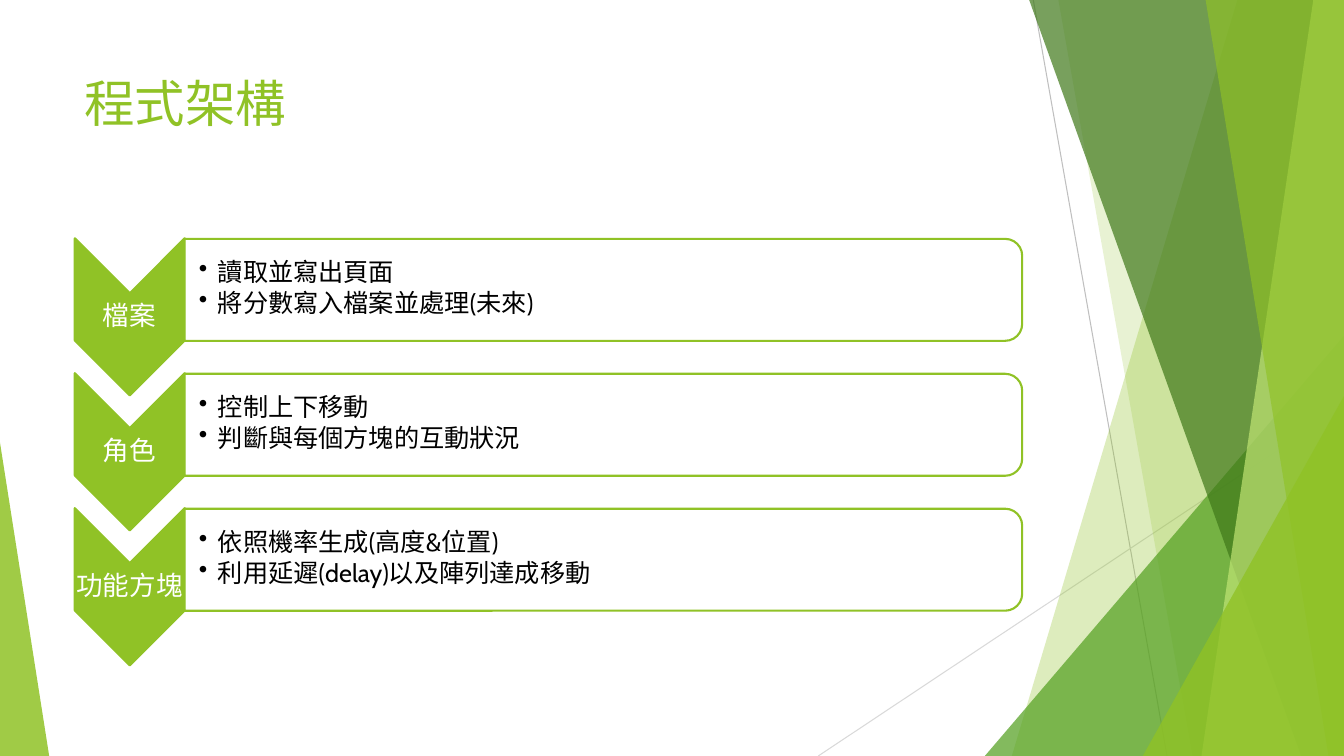
from dataclasses import dataclass

from pptx import Presentation
from pptx import util as u
from pptx.dml import color
from pptx.enum import shapes, text
from pptx.oxml import ns, xmlchemy


@dataclass(frozen=True)
class Theme:
    font: str = "Cabin"
    white: str = "FFFFFF"
    black: str = "000000"
    lime: str = "90C226"
    green: str = "54A021"
    forest: str = "3F7819"
    pale: str = "C0E474"
    grey: str = "BFBFBF"
    light_grey: str = "D9D9D9"
    title_size: float = 36
    label_size: float = 19
    bullet_size: float = 18


theme = Theme()


def paint(shape, fill, opacity=100, outline=None):
    """Set fill, opacity in percent and outline of a shape."""
    shape.shadow.inherit = False
    shape.fill.solid()
    shape.fill.fore_color.rgb = color.RGBColor.from_string(fill)
    if opacity < 100:
        tint = shape._element.xpath("./p:spPr/a:solidFill/a:srgbClr")[0]
        alpha = xmlchemy.OxmlElement("a:alpha")
        alpha.set("val", str(opacity * 1000))
        tint.append(alpha)
    if outline:
        shape.line.color.rgb = color.RGBColor.from_string(outline)
        shape.line.width = u.Pt(1.5)
    else:
        shape.line.fill.background()


def write(box, lines, size, ink, inset=None):
    """Fill a text box, one paragraph per line; return the paragraphs."""
    frame = box.text_frame
    frame.word_wrap = True
    if inset is not None:
        frame.vertical_anchor = text.MSO_ANCHOR.MIDDLE
        frame.margin_left = u.Cm(inset)
        frame.margin_top = frame.margin_right = frame.margin_bottom = u.Cm(0.03)
    for number, line in enumerate(lines):
        para = frame.add_paragraph() if number else frame.paragraphs[0]
        span = para.add_run()
        span.text = line
        span.font.name = theme.font
        span.font.size = u.Pt(size)
        span.font.color.rgb = color.RGBColor.from_string(ink)
    return frame.paragraphs


deck = Presentation()
deck.slide_width = u.Cm(33.87)
deck.slide_height = u.Cm(19.05)
page = deck.slides.add_slide(deck.slide_layouts[6])

# Thin crossing lines
for x1, y1, x2, y2, ink in [
    (26.04, 0, 29.41, 19.05, theme.grey),
    (33.87, 10.24, 20.62, 19.05, theme.light_grey),
]:
    line = page.shapes.add_connector(
        shapes.MSO_CONNECTOR.STRAIGHT, u.Cm(x1), u.Cm(y1), u.Cm(x2), u.Cm(y2))
    line.line.color.rgb = color.RGBColor.from_string(ink)
    line.line.width = u.Pt(0.75)
    line._element.spPr.append(xmlchemy.OxmlElement("a:effectLst"))

# Translucent facets: a band is (top x, bottom x) running to the right edge,
# a triangle is (left, top, width, height, apex position)
for facet, fill, opacity in [
    ((31.19, 25.5), theme.lime, 30),
    ((26.67, 30.05), theme.lime, 20),
    ((24.82, 8.46, 9.05, 10.59, 1), theme.green, 72),
    ((25.93, 32.79), theme.forest, 70),
    ((33.1, 30.28), theme.pale, 70),
    ((30.38, 33.48), theme.lime, 65),
    ((28.8, 9.98, 5.07, 9.07, 1), theme.lime, 80),
    ((0, 11.15, 1.24, 7.9, 0), theme.lime, 85),
]:
    if len(facet) == 2:
        top_x, bottom_x = facet
        outline = page.shapes.build_freeform(u.Cm(top_x), u.Cm(-0.02))
        outline.add_line_segments(
            [(u.Cm(x), u.Cm(y)) for x, y in
             [(33.87, -0.02), (33.87, 19.05), (bottom_x, 19.05)]], close=True)
        shape = outline.convert_to_shape()
    else:
        *place, apex = facet
        shape = page.shapes.add_shape(
            shapes.MSO_SHAPE.ISOSCELES_TRIANGLE, *map(u.Cm, place))
        shape.adjustments[0] = apex
    paint(shape, fill, opacity)

# Title
title = page.shapes.add_textbox(u.Cm(1.88), u.Cm(1.7), u.Cm(23.88), u.Cm(3.66))
write(title, ["程式架構"], theme.title_size, theme.lime)

# Chevron list
sections = [
    ("檔案", ["讀取並寫出頁面", "將分數寫入檔案並處理(未來)"]),
    ("角色", ["控制上下移動", "判斷與每個方塊的互動狀況"]),
    ("功能方塊", ["依照機率生成(高度&位置)", "利用延遲(delay)以及陣列達成移動"]),
]
row_pitch = 3.4
for row, (label, bullets) in enumerate(sections):
    shift = row * row_pitch

    chevron = page.shapes.add_shape(
        shapes.MSO_SHAPE.CHEVRON,
        u.Cm(1.29), u.Cm(6.6 + shift), u.Cm(3.96), u.Cm(2.77))
    chevron.rotation = 90
    paint(chevron, theme.lime, outline=theme.lime)

    box = page.shapes.add_textbox(
        u.Cm(1.88), u.Cm(7.39 + shift), u.Cm(2.77), u.Cm(1.19))
    for para in write(box, [label], theme.label_size, theme.white, 0.03):
        para.alignment = text.PP_ALIGN.CENTER
        para.line_spacing = 0.9

    panel = page.shapes.add_shape(
        shapes.MSO_SHAPE.ROUND_2_SAME_RECTANGLE,
        u.Cm(13.92), u.Cm(-3.25 + shift), u.Cm(2.57), u.Cm(21.11))
    panel.rotation = 90
    paint(panel, theme.white, 90, theme.lime)

    box = page.shapes.add_textbox(
        u.Cm(4.65), u.Cm(6.12 + shift), u.Cm(20.98), u.Cm(2.31))
    for para in write(box, bullets, theme.bullet_size, theme.black, 0.36):
        para.line_spacing = 0.9
        para.space_after = u.Pt(2.7)
        settings = para._p.get_or_add_pPr()
        settings.set("marL", str(u.Cm(0.48)))
        settings.set("indent", str(u.Cm(-0.48)))
        bullet = xmlchemy.OxmlElement("a:buChar")
        bullet.set("char", "•")
        settings.append(bullet)

deck.save("out.pptx")
